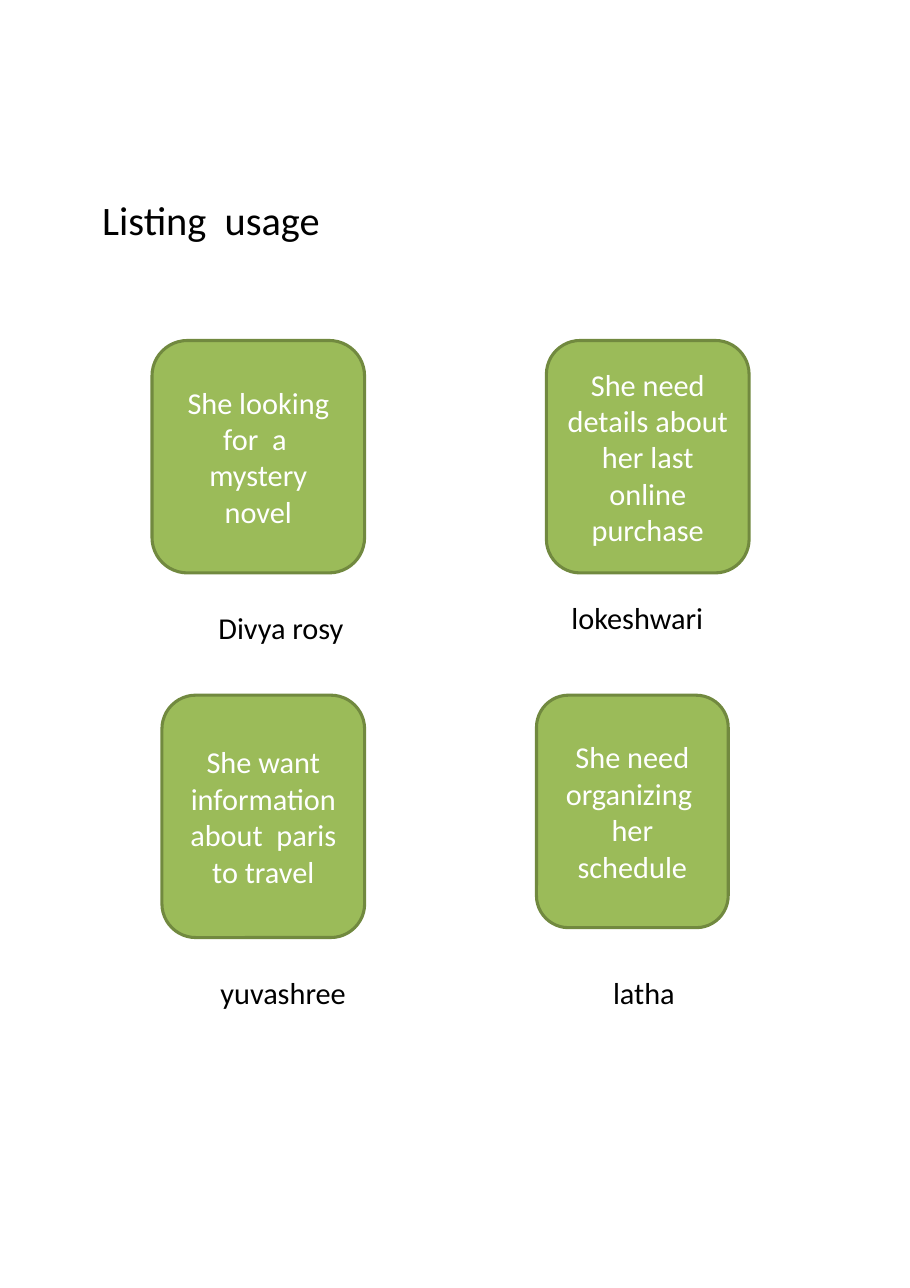
from dataclasses import dataclass

from pptx import Presentation
from pptx.dml.color import RGBColor
from pptx.enum.shapes import MSO_SHAPE
from pptx.enum.text import MSO_ANCHOR, PP_ALIGN
from pptx.util import Inches, Pt

SLIDE_SIZE = (8.26, 11.69)
TITLE = ("Listing  usage", (0.83, 1.72, 2.56, 1.34))

# Each user: need, card box, name, name box (left, top, width, height in inches)
USERS = [
    ("She looking for  a  mystery novel", (1.38, 3.09, 1.93, 2.11),
     "Divya rosy", (1.74, 5.48, 1.62, 0.45)),
    ("She need details about her last online purchase", (4.96, 3.09, 1.84, 2.11),
     "lokeshwari", (5.05, 5.39, 1.47, 0.78)),
    ("She want information about  paris to travel", (1.47, 6.31, 1.84, 2.2),
     "yuvashree", (1.56, 8.79, 2.02, 0.45)),
    ("She need organizing  her schedule", (4.87, 6.31, 1.74, 2.11),
     "latha", (3.86, 8.79, 3.97, 0.46)),
]


@dataclass(frozen=True)
class Theme:
    font: str = "Calibri"
    title_size: float = 26.4
    body_size: float = 19.8
    outline_width: float = 2
    text: RGBColor = RGBColor(0x00, 0x00, 0x00)
    card_text: RGBColor = RGBColor(0xFF, 0xFF, 0xFF)
    card_fill: RGBColor = RGBColor(0x9B, 0xBB, 0x59)
    card_line: RGBColor = RGBColor(0x71, 0x89, 0x3F)


THEME = Theme()


def write_text(shape, text, size, color, alignment, anchor):
    frame = shape.text_frame
    frame.word_wrap = True
    frame.vertical_anchor = anchor
    paragraph = frame.paragraphs[0]
    paragraph.text = text
    paragraph.alignment = alignment
    paragraph.font.name = THEME.font
    paragraph.font.size = Pt(size)
    paragraph.font.color.rgb = color


def add_label(slide, text, box, size=THEME.body_size, alignment=PP_ALIGN.CENTER):
    label = slide.shapes.add_textbox(*map(Inches, box))
    write_text(label, text, size, THEME.text, alignment, MSO_ANCHOR.TOP)


def add_card(slide, need, box):
    card = slide.shapes.add_shape(MSO_SHAPE.ROUNDED_RECTANGLE, *map(Inches, box))
    card.shadow.inherit = False
    card.fill.solid()
    card.fill.fore_color.rgb = THEME.card_fill
    card.line.color.rgb = THEME.card_line
    card.line.width = Pt(THEME.outline_width)
    write_text(card, need, THEME.body_size, THEME.card_text,
               PP_ALIGN.CENTER, MSO_ANCHOR.MIDDLE)


def main():
    presentation = Presentation()
    presentation.slide_width, presentation.slide_height = map(Inches, SLIDE_SIZE)
    slide = presentation.slides.add_slide(presentation.slide_layouts[6])

    add_label(slide, *TITLE, size=THEME.title_size, alignment=PP_ALIGN.LEFT)
    for need, card_box, name, name_box in USERS:
        add_card(slide, need, card_box)
        add_label(slide, name, name_box)

    presentation.save("out.pptx")


if __name__ == "__main__":
    main()
